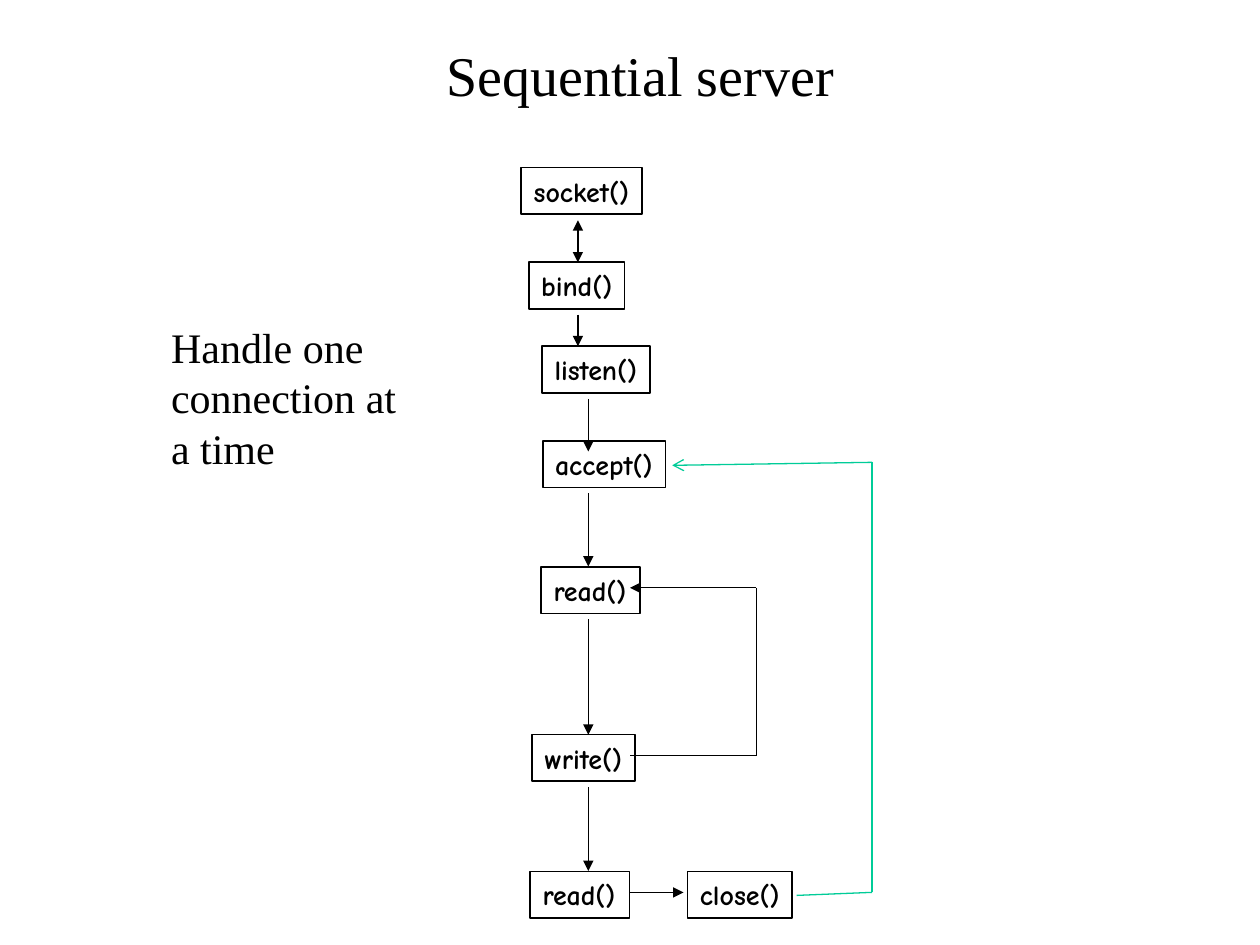
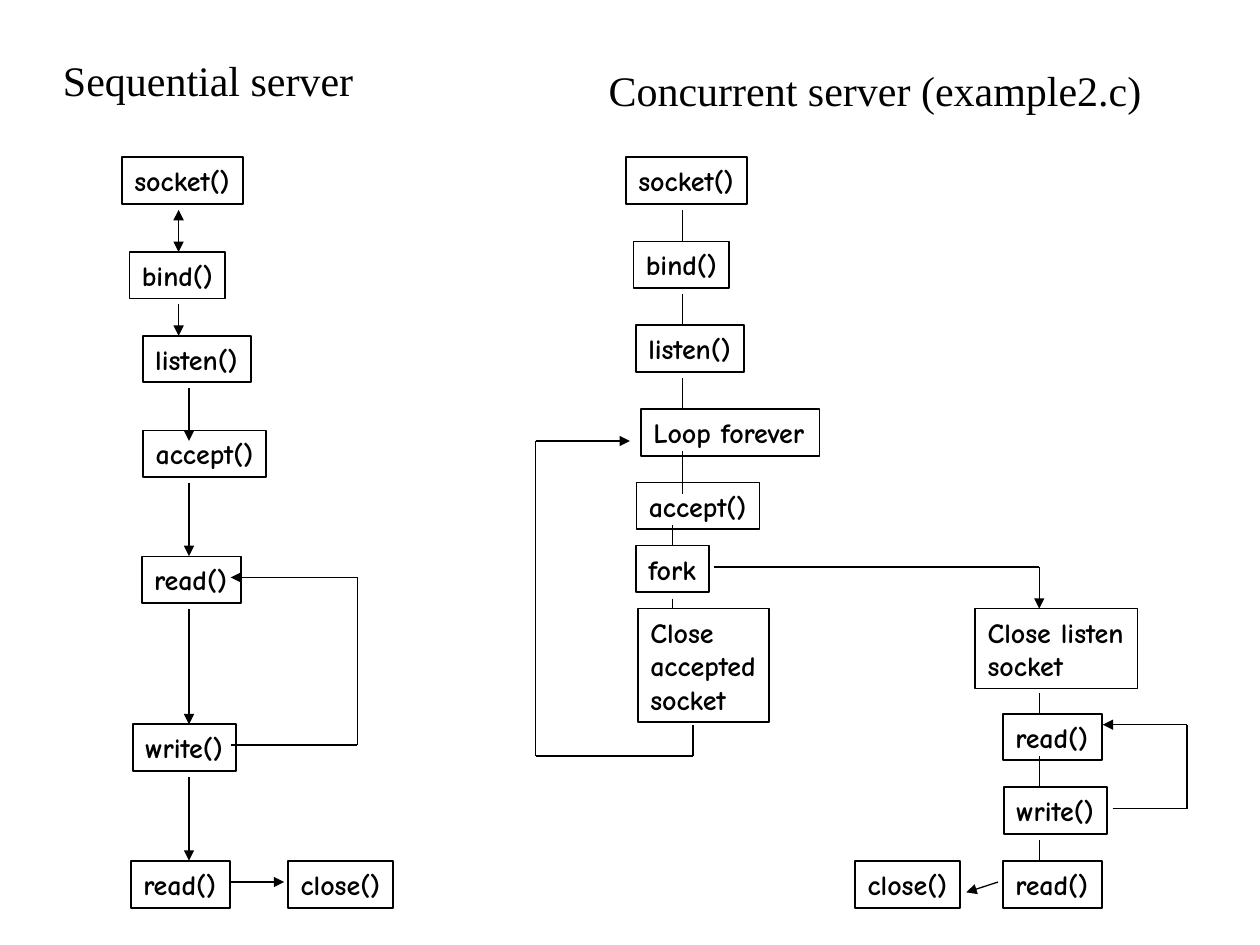
"""Build two slides that chart the calls of a sequential and a concurrent server."""
from dataclasses import dataclass
from itertools import pairwise

from lxml.etree import SubElement
from pptx import Presentation
from pptx.dml.color import RGBColor
from pptx.enum.shapes import MSO_CONNECTOR as Connector, MSO_SHAPE as Shape
from pptx.enum.text import MSO_ANCHOR as Anchor, PP_ALIGN as Align
from pptx.oxml.ns import qn
from pptx.util import Cm, Pt

COLORS = {"ink": "000000", "return": "00CC98"}
CALL_FONT = {"name": "Comic Neue", "size": Pt(16), "bold": True}
NOTE_FONT = {"name": "Times New Roman", "size": Pt(24), "bold": False}
TITLE_FONT = NOTE_FONT | {"size": Pt(32)}
FRAME = {
    "word_wrap": False,
    "vertical_anchor": Anchor.TOP,
    "margin_left": Cm(0.25),
    "margin_right": Cm(0.25),
    "margin_top": Cm(0.13),
    "margin_bottom": Cm(0.13),
}
WIDTHS = {
    "socket()": 2.44,
    "bind()": 1.93,
    "listen()": 2.18,
    "accept()": 2.48,
    "read()": 2,
    "write()": 2.08,
    "close()": 2.11,
    "Loop forever": 3.6,
    "fork": 1.47,
    "Close\naccepted\nsocket": 2.64,
    "Close listen\nsocket": 3.27,
}
LINE_HEIGHT = 0.67


@dataclass(frozen=True)
class Call:
    label: str
    left: float
    top: float


@dataclass(frozen=True)
class Route:
    points: tuple[tuple[float, float], ...]
    tail: str = ""
    head: str = ""
    color: str = "ink"


@dataclass(frozen=True)
class Flow:
    calls: tuple[Call, ...]
    routes: tuple[Route, ...]


def drop(x: float, top: float, bottom: float, tail: str = "", head: str = "") -> Route:
    """Return a vertical route."""
    return Route(((x, top), (x, bottom)), tail, head)


SEQUENTIAL = Flow(
    (
        Call("socket()", 2.46, 3.17),
        Call("bind()", 2.61, 5.08),
        Call("listen()", 2.88, 6.77),
        Call("accept()", 2.89, 8.68),
        Call("read()", 2.86, 11.22),
        Call("write()", 2.68, 14.6),
        Call("read()", 2.64, 17.36),
        Call("close()", 5.81, 17.36),
    ),
    (
        drop(3.6, 4.23, 5.08, "triangle", "triangle"),
        drop(3.6, 6.13, 6.77, "triangle"),
        drop(3.81, 7.83, 8.89, "triangle"),
        drop(3.81, 9.73, 11.21, "triangle"),
        drop(3.81, 12.27, 14.6, "triangle"),
        drop(3.81, 15.66, 17.35, "triangle"),
        Route(((4.65, 17.78), (5.73, 17.78)), "triangle"),
        Route(((4.65, 15.02), (7.2, 15.02), (7.2, 11.64), (4.65, 11.64)), "triangle"),
    ),
)
CONCURRENT = Flow(
    (
        Call("socket()", 12.62, 3.17),
        Call("bind()", 12.77, 4.87),
        Call("listen()", 12.82, 6.56),
        Call("Loop forever", 12.92, 8.25),
        Call("accept()", 12.83, 9.73),
        Call("fork", 12.82, 11),
        Call("Close\naccepted\nsocket", 12.86, 12.27),
        Call("Close listen\nsocket", 19.66, 12.27),
        Call("read()", 20.22, 14.39),
        Call("write()", 20.24, 15.87),
        Call("read()", 20.22, 17.36),
        Call("close()", 17.24, 17.36),
    ),
    (
        drop(13.76, 4.23, 4.87),
        drop(13.76, 5.93, 6.56),
        drop(13.76, 7.62, 8.26),
        drop(13.76, 9.1, 9.95),
        drop(13.55, 10.59, 11),
        drop(13.55, 12.07, 12.27),
        drop(20.95, 13.97, 14.39),
        drop(20.95, 15.24, 15.88),
        drop(20.95, 16.93, 17.36),
        Route(
            ((13.97, 14.61), (13.97, 15.24), (10.8, 15.24), (10.8, 8.89), (12.7, 8.89)),
            "triangle",
        ),
        Route(((14.4, 11.43), (20.95, 11.43), (20.95, 12.27)), "triangle"),
        Route(((20.12, 17.78), (19.48, 17.99)), "triangle"),
        Route(((22.43, 16.3), (23.93, 16.3), (23.93, 14.61), (22.23, 14.61)), "triangle"),
    ),
)
RETURN_ROUTE = Route(
    ((16.06, 18.05), (17.58, 17.99), (17.58, 9.32), (13.55, 9.38)), "arrow", color="return"
)


def apply(target, values: dict) -> None:
    """Set each attribute named in the values."""
    for name, value in values.items():
        setattr(target, name, value)


def write(box, text: str, font: dict, align=Align.LEFT, spacing: float = 1.2) -> None:
    """Fill a box with one paragraph per line of text."""
    frame = box.text_frame
    apply(frame, FRAME)
    for index, line in enumerate(text.split("\n")):
        para = frame.add_paragraph() if index else frame.paragraphs[0]
        apply(para, {"alignment": align, "line_spacing": Pt(font["size"].pt * spacing)})
        span = para.add_run()
        span.text = line
        apply(span.font, font)
        span.font.color.rgb = RGBColor.from_string(COLORS["ink"])


def draw_text(page, place: tuple[float, ...], text: str, font: dict, **layout) -> None:
    """Add free text at a place given as left, top, width and height."""
    write(page.shapes.add_textbox(*map(Cm, place)), text, font, **layout)


def draw_call(page, call: Call, right: float, down: float) -> None:
    """Add the outlined box of one call."""
    height = 0.27 + LINE_HEIGHT * (call.label.count("\n") + 1)
    place = (call.left + right, call.top + down, WIDTHS[call.label], height)
    box = page.shapes.add_shape(Shape.RECTANGLE, *map(Cm, place))
    box.shadow.inherit = False
    box.fill.background()
    box.line.color.rgb = RGBColor.from_string(COLORS["ink"])
    box.line.width = Pt(1)
    write(box, call.label, CALL_FONT)


def draw_route(page, route: Route, right: float = 0, down: float = 0) -> None:
    """Add the straight pieces of a route with arrowheads at its ends."""
    points = [(Cm(x + right), Cm(y + down)) for x, y in route.points]
    pieces = []
    for start, end in pairwise(points):
        piece = page.shapes.add_connector(Connector.STRAIGHT, *start, *end)
        piece.line.color.rgb = RGBColor.from_string(COLORS[route.color])
        piece.line.width = Pt(0.75)
        SubElement(piece.element.spPr, qn("a:effectLst"))
        pieces.append(piece)
    for piece, tag, kind in (
        (pieces[0], "a:headEnd", route.head),
        (pieces[-1], "a:tailEnd", route.tail),
    ):
        if kind:
            SubElement(piece.element.spPr.find(qn("a:ln")), qn(tag), type=kind)


def draw_flow(page, flow: Flow, right: float = 0, down: float = 0) -> None:
    """Add a whole flow, moved right and down."""
    for call in flow.calls:
        draw_call(page, call, right, down)
    for route in flow.routes:
        draw_route(page, route, right, down)


def main() -> None:
    """Build and save the deck."""
    deck = Presentation()
    apply(deck, {"slide_width": Cm(25.4), "slide_height": Cm(19.05)})
    blank = deck.slide_layouts[6]

    page = deck.slides.add_slide(blank)
    draw_text(page, (2.11, 0.83, 21.6, 1.47), "Sequential server", TITLE_FONT,
              align=Align.CENTER, spacing=1.08)
    draw_flow(page, SEQUENTIAL, 8.05, 0.21)
    draw_route(page, RETURN_ROUTE)
    draw_text(page, (3.2, 6.35, 5.26, 3.3), "Handle one\nconnection at\na time", NOTE_FONT)

    page = deck.slides.add_slide(blank)
    draw_flow(page, SEQUENTIAL)
    draw_flow(page, CONCURRENT)
    draw_text(page, (1.02, 0.97, 6.6, 1.27), "Sequential server", NOTE_FONT)
    draw_text(page, (12.02, 1.17, 11.5, 1.27), "Concurrent server (example2.c)", NOTE_FONT)

    deck.save("out.pptx")


if __name__ == "__main__":
    main()
